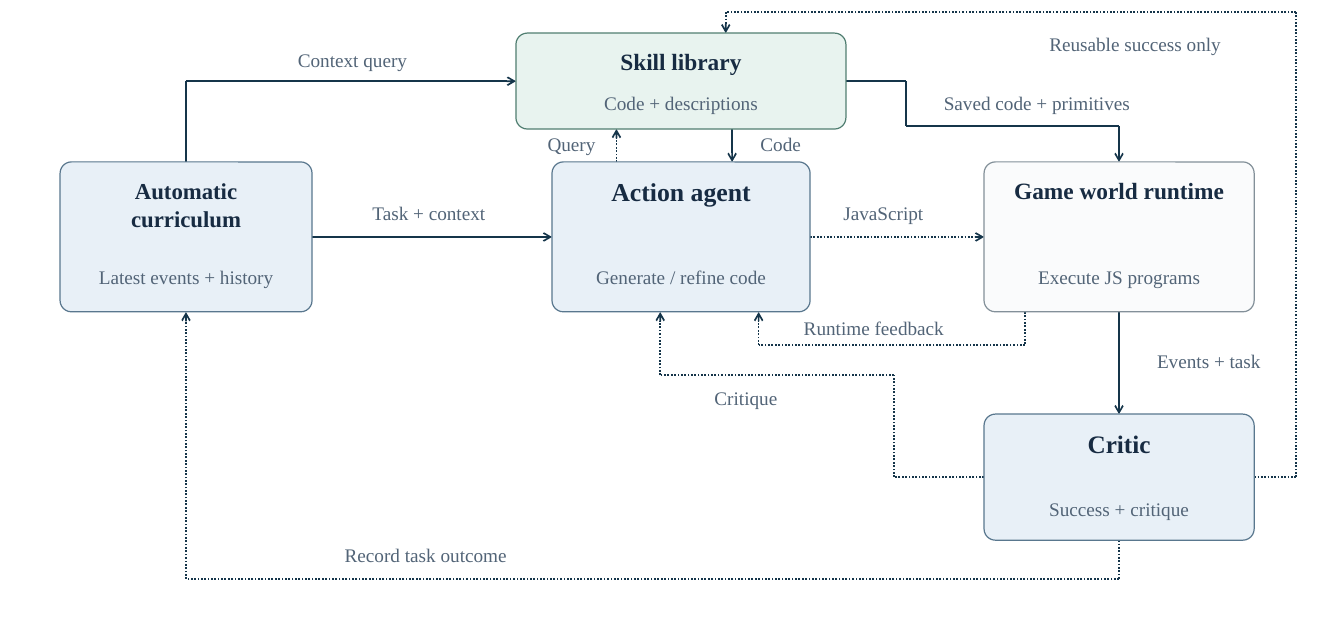
from itertools import pairwise

from lxml import etree
from pptx import Presentation
from pptx.dml.color import RGBColor
from pptx.enum.dml import MSO_LINE
from pptx.enum.shapes import MSO_CONNECTOR, MSO_SHAPE
from pptx.enum.text import MSO_ANCHOR, PP_ALIGN
from pptx.oxml.ns import qn
from pptx.util import Cm, Pt

STRAIGHT, ROUNDED = MSO_CONNECTOR.STRAIGHT, MSO_SHAPE.ROUNDED_RECTANGLE
DOTTED = MSO_LINE.ROUND_DOT
TOP, MIDDLE, CENTER = MSO_ANCHOR.TOP, MSO_ANCHOR.MIDDLE, PP_ALIGN.CENTER

ARROW = RGBColor(0x15, 0x35, 0x4A)
INK = RGBColor(0x17, 0x2B, 0x42)
MUTED = RGBColor(0x52, 0x64, 0x77)
BLUE = (RGBColor(0xE8, 0xF0, 0xF7), RGBColor(0x59, 0x77, 0x8E))
GREEN = (RGBColor(0xE8, 0xF3, 0xEF), RGBColor(0x50, 0x7E, 0x71))
GREY = (RGBColor(0xFA, 0xFB, 0xFC), RGBColor(0x83, 0x90, 0x99))

# All lengths in cm: title, title size (pt), detail, detail centre above the
# bottom edge, (left, top, width, height), (fill, outline)
BOXES = [
    ("Automatic\vcurriculum", 28.5, "Latest events + history", 1.53,
     (2.65, 7.14, 11.11, 6.61), BLUE),
    ("Action agent", 32.2, "Generate / refine code", 1.53,
     (24.34, 7.14, 11.38, 6.61), BLUE),
    ("Game world runtime", 29.2, "Execute JS programs", 1.53,
     (43.39, 7.14, 11.91, 6.61), GREY),
    ("Critic", 31.5, "Success + critique", 1.37,
     (43.39, 18.26, 11.91, 5.56), BLUE),
    ("Skill library", 29.2, "Code + descriptions", 1.16,
     (22.75, 1.46, 14.55, 4.23), GREEN),
]

# Label, label centre, dotted, corner points
ROUTES = [
    ("Task + context", (18.91, 9.39), False, [(13.76, 10.45), (24.34, 10.45)]),
    ("JavaScript", (38.95, 9.39), True, [(35.72, 10.45), (43.39, 10.45)]),
    ("Events + task", (53.3, 15.89), False, [(49.34, 13.76), (49.34, 18.26)]),
    ("Runtime feedback", (38.53, 14.44), True,
     [(45.19, 13.76), (45.19, 15.21), (33.45, 15.21), (33.45, 13.76)]),
    ("Critique", (32.89, 17.56), True,
     [(43.39, 21.03), (39.42, 21.03), (39.42, 16.54), (29.11, 16.54),
      (29.11, 13.76)]),
    ("Reusable success only", (50.05, 1.94), True,
     [(55.3, 21.03), (57.15, 21.03), (57.15, 0.53), (32, 0.53), (32, 1.46)]),
    ("Code", (34.42, 6.36), False, [(32.28, 5.69), (32.28, 7.14)]),
    ("Context query", (15.54, 2.65), False,
     [(8.2, 7.14), (8.2, 3.58), (22.75, 3.58)]),
    ("Query", (25.2, 6.36), True, [(27.18, 7.14), (27.18, 5.69)]),
    ("Saved code + primitives", (45.72, 4.53), False,
     [(37.3, 3.58), (39.95, 3.58), (39.95, 5.56), (49.34, 5.56),
      (49.34, 7.14)]),
    ("Record task outcome", (18.77, 24.47), True,
     [(49.34, 23.82), (49.34, 25.53), (8.2, 25.53), (8.2, 13.76)]),
]

RADIUS = 0.5
TITLE_INSET = 0.47
LABEL_HEIGHT = 1.09
LABEL_CHAR_WIDTH = 0.41
LABEL_PADDING = 0.8


def write(sp, text, anchor, inset_top=0, **font):
    tf = sp.text_frame
    frame = dict(margin_left=0, margin_right=0, margin_top=Cm(inset_top),
                 margin_bottom=0, word_wrap=False, vertical_anchor=anchor)
    for name, value in frame.items():
        setattr(tf, name, value)
    p = tf.paragraphs[0]
    p.text = text
    p.alignment = CENTER
    p.line_spacing = 1.03 if "\v" in text else 1.0
    color = font.pop("color")
    for r in p.runs:
        r.font.color.rgb = color
        for name, value in dict(name="Times New Roman", **font).items():
            setattr(r.font, name, value)


def add_label(shapes, text, cx, cy):
    width = len(text) * LABEL_CHAR_WIDTH + LABEL_PADDING
    sp = shapes.add_textbox(Cm(cx - width / 2), Cm(cy - LABEL_HEIGHT / 2),
                            Cm(width), Cm(LABEL_HEIGHT))
    write(sp, text, MIDDLE, size=Pt(24), color=MUTED)


def add_route(shapes, points, dotted):
    """Group the straight segments of one route, with an arrowhead at its end."""
    group = shapes.add_group_shape()
    for start, end in pairwise(points):
        seg = group.shapes.add_connector(STRAIGHT, *map(Cm, start + end))
        seg.line.color.rgb = ARROW
        seg.line.width = Pt(2.1)
        if dotted:
            seg.line.dash_style = DOTTED
        etree.SubElement(seg._element.spPr, qn("a:effectLst"))
    ln = seg.line._get_or_add_ln()
    etree.SubElement(ln, qn("a:tailEnd"), type="arrow", w="lg", len="lg")


def add_box(shapes, title, size, detail, rise, rect, colors):
    left, top, width, height = rect
    sp = shapes.add_shape(ROUNDED, *map(Cm, rect))
    sp.adjustments[0] = RADIUS / min(width, height)
    sp.shadow.inherit = False
    sp.fill.solid()
    sp.fill.fore_color.rgb, sp.line.color.rgb = colors
    sp.line.width = Pt(1.5)
    write(sp, title, TOP, TITLE_INSET, size=Pt(size), bold=True, color=INK)
    add_label(shapes, detail, left + width / 2, top + height - rise)


def main():
    prs = Presentation()
    prs.slide_width, prs.slide_height = Cm(59.26), Cm(27.25)
    shapes = prs.slides.add_slide(prs.slide_layouts[6]).shapes
    for _, _, dotted, points in ROUTES:
        add_route(shapes, points, dotted)
    for box in BOXES:
        add_box(shapes, *box)
    for label, center, _, _ in ROUTES:
        add_label(shapes, label, *center)
    prs.save("out.pptx")


if __name__ == "__main__":
    main()
